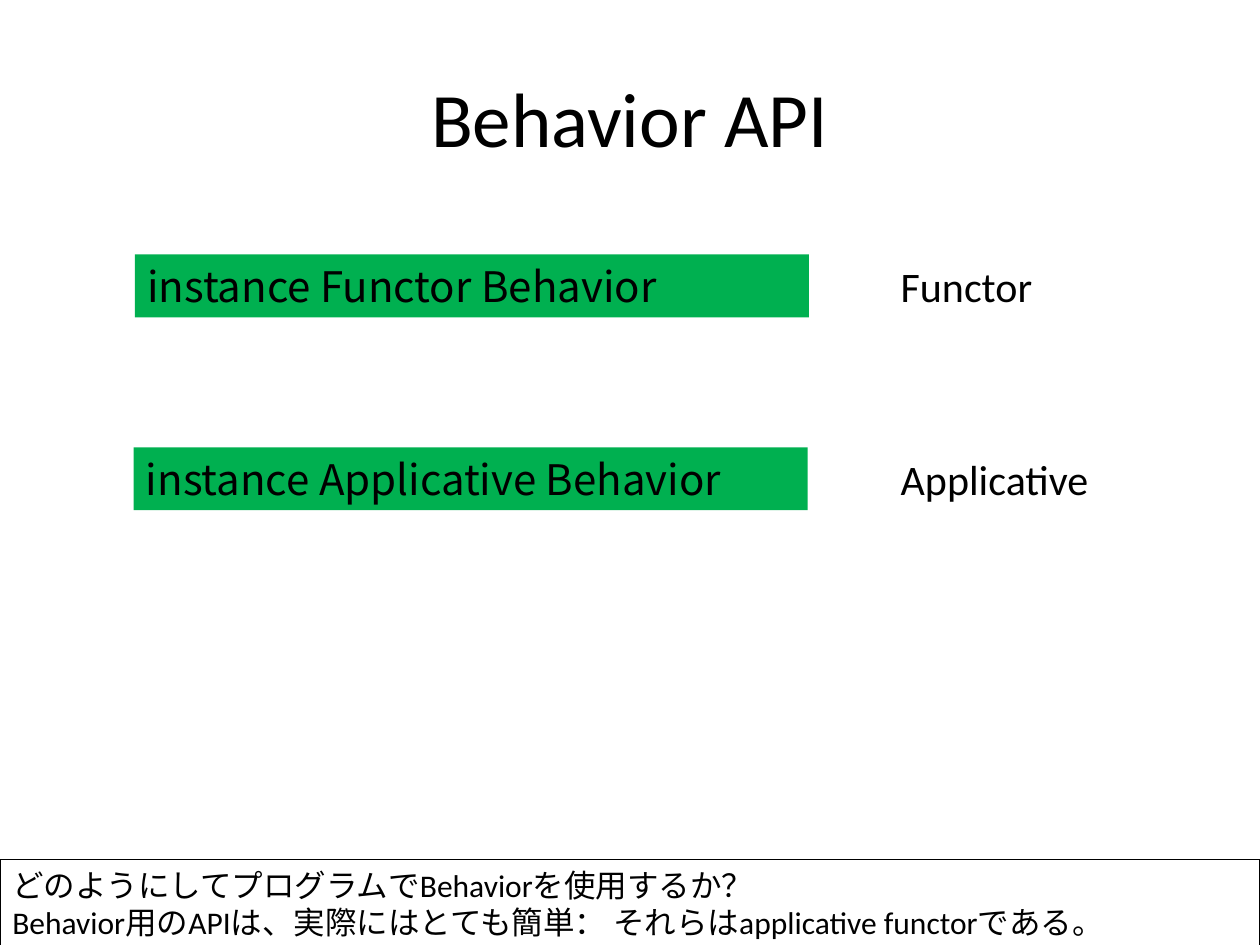
from dataclasses import dataclass

from lxml.etree import SubElement
from pptx import Presentation
from pptx.dml.color import RGBColor
from pptx.enum.shapes import MSO_SHAPE as Shape
from pptx.enum.text import MSO_ANCHOR as Anchor, PP_ALIGN as Align
from pptx.oxml.ns import qn
from pptx.util import Inches, Pt


@dataclass(frozen=True)
class Theme:
    ink: RGBColor = RGBColor(0, 0, 0)
    code_fill: RGBColor = RGBColor(0x00, 0xB0, 0x50)
    body_font: str = "Calibri"
    code_font: str = "Noto Sans CJK JP"
    title_size: int = 44
    body_size: int = 24
    caption_size: int = 18
    outline: float = 0.75


@dataclass(frozen=True)
class Instance:
    code: str
    concept: str
    left: float
    concept_width: float


THEME = Theme()
INSTANCES = [
    Instance("instance Functor Behavior", "Functor", 1.07, 1.26),
    Instance("instance Applicative Behavior", "Applicative", 1.06, 1.71),
]
CAPTION = [
    "どのようにしてプログラムでBehaviorを使用するか？",
    "Behavior用のAPIは、実際にはとても簡単： それらはapplicative functorである。",
]
FIRST_TOP, ROW_STEP, ROW_HEIGHT = 2.02, 1.53, 0.5


def write(frame, lines: list[str], size: int, font: str = THEME.body_font,
          align=Align.LEFT, anchor=Anchor.TOP, wrap: bool = True) -> None:
    frame.word_wrap = wrap
    frame.vertical_anchor = anchor
    for index, line in enumerate(lines):
        paragraph = frame.add_paragraph() if index else frame.paragraphs[0]
        paragraph.alignment = align
        run = paragraph.add_run()
        run.text = line
        run.font.name = font
        run.font.size = Pt(size)
        run.font.color.rgb = THEME.ink
        SubElement(run.font._element, qn("a:ea"), typeface=THEME.code_font)


def add_text(slide, left: float, top: float, width: float, height: float):
    return slide.shapes.add_textbox(
        Inches(left), Inches(top), Inches(width), Inches(height)).text_frame


def add_panel(slide, left: float, top: float, width: float, height: float):
    panel = slide.shapes.add_shape(
        Shape.RECTANGLE, Inches(left), Inches(top), Inches(width), Inches(height))
    panel.shadow.inherit = False
    return panel


def add_instance(slide, instance: Instance, top: float) -> None:
    code = add_panel(slide, instance.left, top, 5.35, ROW_HEIGHT)
    code.fill.solid()
    code.fill.fore_color.rgb = THEME.code_fill
    code.line.fill.background()
    write(code.text_frame, [instance.code], THEME.body_size, THEME.code_font,
          anchor=Anchor.MIDDLE)
    concept = add_text(slide, 7.05, top, instance.concept_width, ROW_HEIGHT)
    write(concept, [instance.concept], THEME.body_size, wrap=False)


def add_caption(slide) -> None:
    caption = add_panel(slide, 0, 6.82, 10, 0.71)
    caption.fill.background()
    caption.line.color.rgb = THEME.ink
    caption.line.width = Pt(THEME.outline)
    write(caption.text_frame, CAPTION, THEME.caption_size)


def main() -> None:
    deck = Presentation()
    deck.slide_width, deck.slide_height = Inches(10), Inches(7.5)
    slide = deck.slides.add_slide(deck.slide_layouts[6])
    write(add_text(slide, 0.5, 0.3, 9, 1.25), ["Behavior API"], THEME.title_size,
          align=Align.CENTER, anchor=Anchor.MIDDLE)
    for row, instance in enumerate(INSTANCES):
        add_instance(slide, instance, FIRST_TOP + row * ROW_STEP)
    add_caption(slide)
    deck.save("out.pptx")


main()
